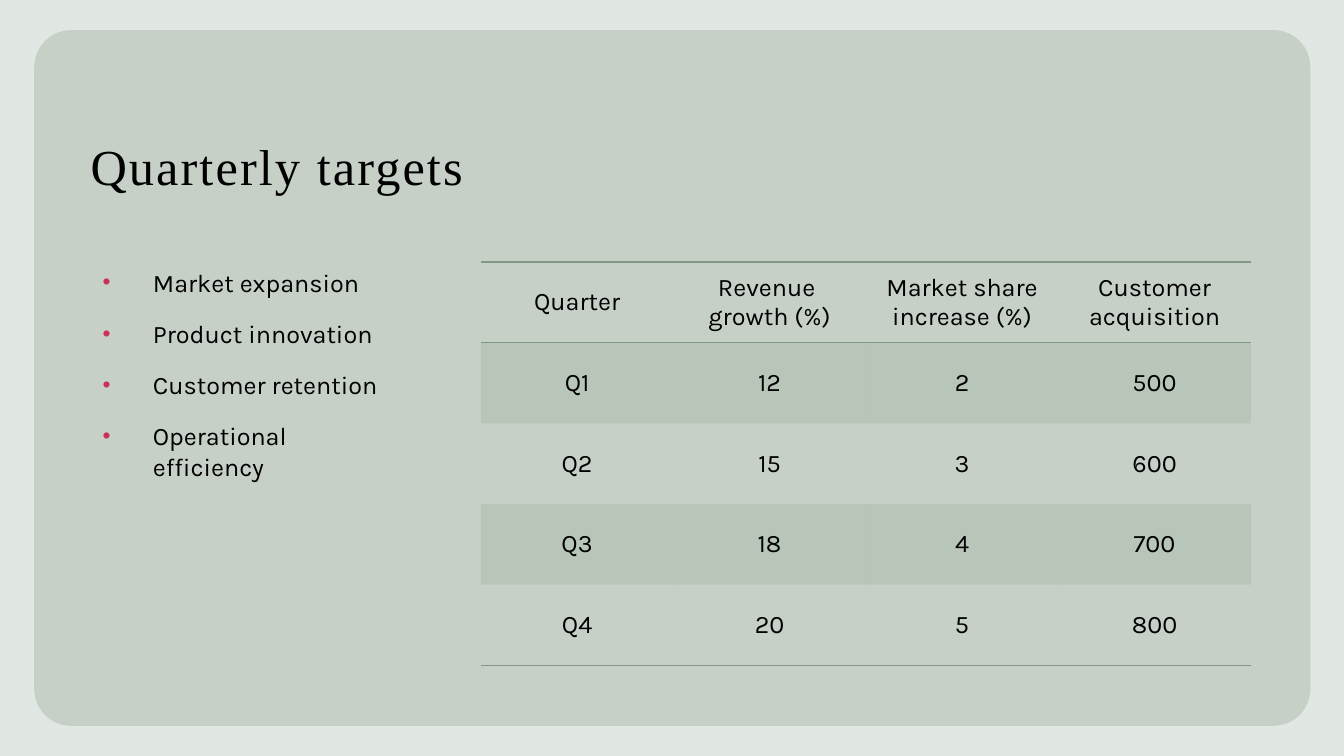
"""Builds the quarterly targets slide with a bullet list and a table."""
from lxml import etree
from pptx import Presentation
from pptx import util as u
from pptx.dml.color import RGBColor
from pptx.enum import shapes, text
from pptx.oxml import ns

COLORS = {"background": "E1E7E2", "panel": "B5C2B6", "text": "000000",
          "bullet": "CC3059", "accent": "839985"}
TITLE = {"name": "Times New Roman", "size": u.Pt(36)}
BODY = {"name": "Karla", "size": u.Pt(18)}
GOALS = ["Market expansion", "Product innovation", "Customer retention",
         "Operational efficiency"]
TARGETS = [
    ["Quarter", "Revenue \vgrowth (%)", "Market share increase (%)", "Customer acquisition"],
    ["Q1", "12", "2", "500"],
    ["Q2", "15", "3", "600"],
    ["Q3", "18", "4", "700"],
    ["Q4", "20", "5", "800"],
]
NO_STYLE = "{2D5ABB26-0587-4C30-8999-92F81FD0307C}"


class SlideBuilder:
    def __init__(self, slide):
        self.slide = slide
        self.paint(slide.background.fill, "background")

    def child(self, parent, tag, **attributes):
        return etree.SubElement(parent, ns.qn(tag), attributes)

    def paint(self, fill, color, opacity=100):
        fill.solid()
        fill.fore_color.rgb = RGBColor.from_string(COLORS[color])
        if opacity < 100:
            element = fill._xPr.find(ns.qn("a:solidFill"))[0]
            self.child(element, "a:alpha", val=str(opacity * 1000))

    def set_words(self, paragraph, words, style):
        paragraph.text = words
        for run in paragraph.runs:
            for name, value in style.items():
                setattr(run.font, name, value)
            run.font.color.rgb = RGBColor.from_string(COLORS["text"])

    def panel(self, left, top, width, height, radius):
        shape = self.slide.shapes.add_shape(
            shapes.MSO_SHAPE.ROUNDED_RECTANGLE,
            *map(u.Pt, (left, top, width, height)))
        shape.adjustments[0] = radius
        shape.shadow.inherit = False
        shape.line.fill.background()
        self.paint(shape.fill, "panel", 60)

    def text_frame(self, left, top, width, height):
        shape = self.slide.shapes.add_textbox(*map(u.Pt, (left, top, width, height)))
        shape.text_frame.word_wrap = True
        return shape.text_frame

    def title(self, words, *box):
        frame = self.text_frame(*box)
        frame.vertical_anchor = text.MSO_ANCHOR.BOTTOM
        paragraph = frame.paragraphs[0]
        paragraph.line_spacing = 0.9
        self.set_words(paragraph, words, TITLE)
        paragraph.runs[0].font._element.set("spc", "150")

    def bullets(self, items, *box):
        frame = self.text_frame(*box)
        for index, item in enumerate(items):
            paragraph = frame.add_paragraph() if index else frame.paragraphs[0]
            paragraph.space_before = u.Pt(15 if index else 0)
            properties = paragraph._p.get_or_add_pPr()
            properties.set("marL", str(u.Pt(36)))
            properties.set("indent", str(u.Pt(-36)))
            color = self.child(properties, "a:buClr")
            self.child(color, "a:srgbClr", val=COLORS["bullet"])
            self.child(properties, "a:buSzPct", val="90000")
            self.child(properties, "a:buFont", typeface="Arial")
            self.child(properties, "a:buChar", char="•")
            self.set_words(paragraph, item, BODY)

    def border(self, cell, sides):
        properties = cell._tc.get_or_add_tcPr()
        for index, side in enumerate(sides):
            line = etree.Element(ns.qn(f"a:ln{side}"), w=str(u.Pt(1)))
            fill = self.child(line, "a:solidFill")
            self.child(fill, "a:srgbClr", val=COLORS["accent"])
            properties.insert(index, line)

    def table(self, rows, left, top, width, height):
        table = self.slide.shapes.add_table(
            len(rows), len(rows[0]), *map(u.Pt, (left, top, width, height))).table
        table.horz_banding = False
        table._tbl.tblPr.find(ns.qn("a:tableStyleId")).text = NO_STYLE
        borders = {0: "TB", len(rows) - 1: "B"}
        for row, values in enumerate(rows):
            for column, value in enumerate(values):
                cell = table.cell(row, column)
                cell.vertical_anchor = text.MSO_ANCHOR.MIDDLE
                paragraph = cell.text_frame.paragraphs[0]
                paragraph.alignment = text.PP_ALIGN.CENTER
                self.set_words(paragraph, value, BODY)
                if row % 2:
                    self.paint(cell.fill, "accent", 20)
                else:
                    cell.fill.background()
                self.border(cell, borders.get(row, ""))


def main():
    presentation = Presentation()
    presentation.slide_width = u.Pt(960)
    presentation.slide_height = u.Pt(540)
    builder = SlideBuilder(presentation.slides.add_slide(presentation.slide_layouts[6]))
    builder.panel(24.5, 21.5, 911.5, 497, 0.053)
    builder.title("Quarterly targets", 57.6, 57.6, 842.4, 86.4)
    builder.bullets(GOALS, 66.2, 187.2, 223.2, 288)
    builder.table(TARGETS, 343.5, 187.2, 550, 288)
    presentation.save("out.pptx")


if __name__ == "__main__":
    main()
